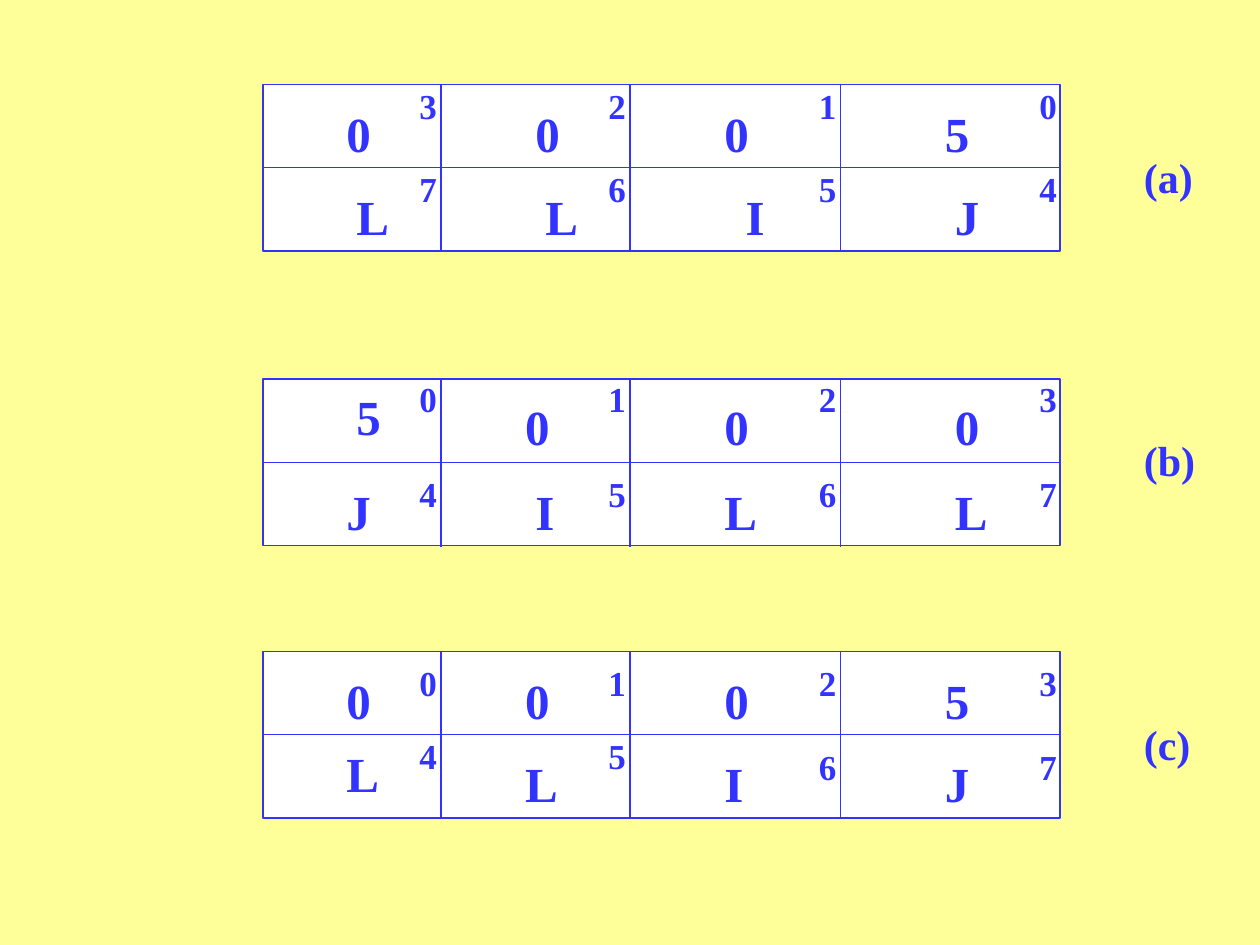
from pptx import Presentation
from pptx.dml.color import RGBColor
from pptx.enum.shapes import MSO_CONNECTOR as Line, MSO_SHAPE as Shape
from pptx.enum.text import MSO_AUTO_SIZE as Auto
from pptx.util import Inches, Pt
from lxml import etree

BLUE = RGBColor(0x33, 0x33, 0xFF)
WHITE = RGBColor(0xFF, 0xFF, 0xFF)
CREAM = RGBColor(0xFF, 0xFF, 0x99)
NS = "http://schemas.openxmlformats.org/drawingml/2006/main"

LEFT, RIGHT = 2.08, 8.42
SPLITS = (3.5, 5, 6.67)
TAG_X = (3.23, 4.73, 6.4, 8.15)
WIDE = {"L": 0.46, "I": 0.35}

# fmt: off
GRIDS = (
    ("(a)", 0.67, 1.15, 0.59, (
        ("3210", (0.62,) * 4, "0005", (2.65, 4.15, 5.65, 7.4), (0.77,) * 4),
        ("7654", (1.28,) * 4, "LLIJ", (2.73, 4.23, 5.82, 7.48), (1.43,) * 4))),
    ("(b)", 3.01, 3.4, 0.61, (
        ("0123", (2.95,) * 4, "5000", (2.73, 4.07, 5.65, 7.48), (3.02, 3.1, 3.1, 3.1)),
        ("4567", (3.7,) * 4, "JILL", (2.65, 4.15, 5.65, 7.48), (3.77,) * 4))),
    ("(c)", 5.17, 5.65, 0.57, (
        ("0123", (5.2,) * 4, "0005", (2.65, 4.07, 5.65, 7.4), (5.27,) * 4),
        ("4567", (5.78, 5.78, 5.87, 5.87), "LLIJ", (2.65, 4.07, 5.65, 7.4),
         (5.85, 5.93, 5.93, 5.93)))),
)
# fmt: on


def style(item, values):
    for name, value in values.items():
        setattr(item, name, value)


def add_text(slide, text, x, y, wide, high, size):
    box = slide.shapes.add_textbox(*map(Inches, (x, y, wide, high)))
    frame = box.text_frame
    style(frame, {"word_wrap": False, "auto_size": Auto.SHAPE_TO_FIT_TEXT})
    run = frame.paragraphs[0].add_run()
    run.text = text
    style(run.font, {"name": "Times New Roman", "size": Pt(size), "bold": True})
    run.font.color.rgb = BLUE


def paint(line):
    line.color.rgb = BLUE
    line.width = Pt(1)


def add_line(slide, *ends):
    line = slide.shapes.add_connector(Line.STRAIGHT, *map(Inches, ends))
    paint(line.line)
    etree.SubElement(line._element.spPr, f"{{{NS}}}effectLst")


def add_grid(slide, top):
    rect = slide.shapes.add_shape(
        Shape.RECTANGLE, *map(Inches, (LEFT + 0.01, top, 6.32, 1.32)))
    rect.shadow.inherit = False
    rect.fill.solid()
    rect.fill.fore_color.rgb = WHITE
    paint(rect.line)
    add_line(slide, LEFT, top + 0.66, RIGHT, top + 0.66)
    for x in SPLITS:
        add_line(slide, x, top, x, top + 1.33)


def add_row(slide, tags, tag_y, marks, mark_x, mark_y):
    for tag, x, y in zip(tags, TAG_X, tag_y):
        add_text(slide, tag, x, y, 0.34, 0.43, 20)
    for mark, x, y in zip(marks, mark_x, mark_y):
        add_text(slide, mark, x, y, WIDE.get(mark, 0.4), 0.57, 28)


def main():
    deck = Presentation()
    style(deck, {"slide_width": Inches(10), "slide_height": Inches(7.5)})
    slide = deck.slides.add_slide(deck.slide_layouts[6])
    back = slide.background.fill
    back.solid()
    back.fore_color.rgb = CREAM
    for label, top, y, wide, rows in GRIDS:
        add_grid(slide, top)
        add_text(slide, label, 8.98, y, wide, 0.5, 24)
        for row in rows:
            add_row(slide, *row)
    deck.save("out.pptx")


main()
